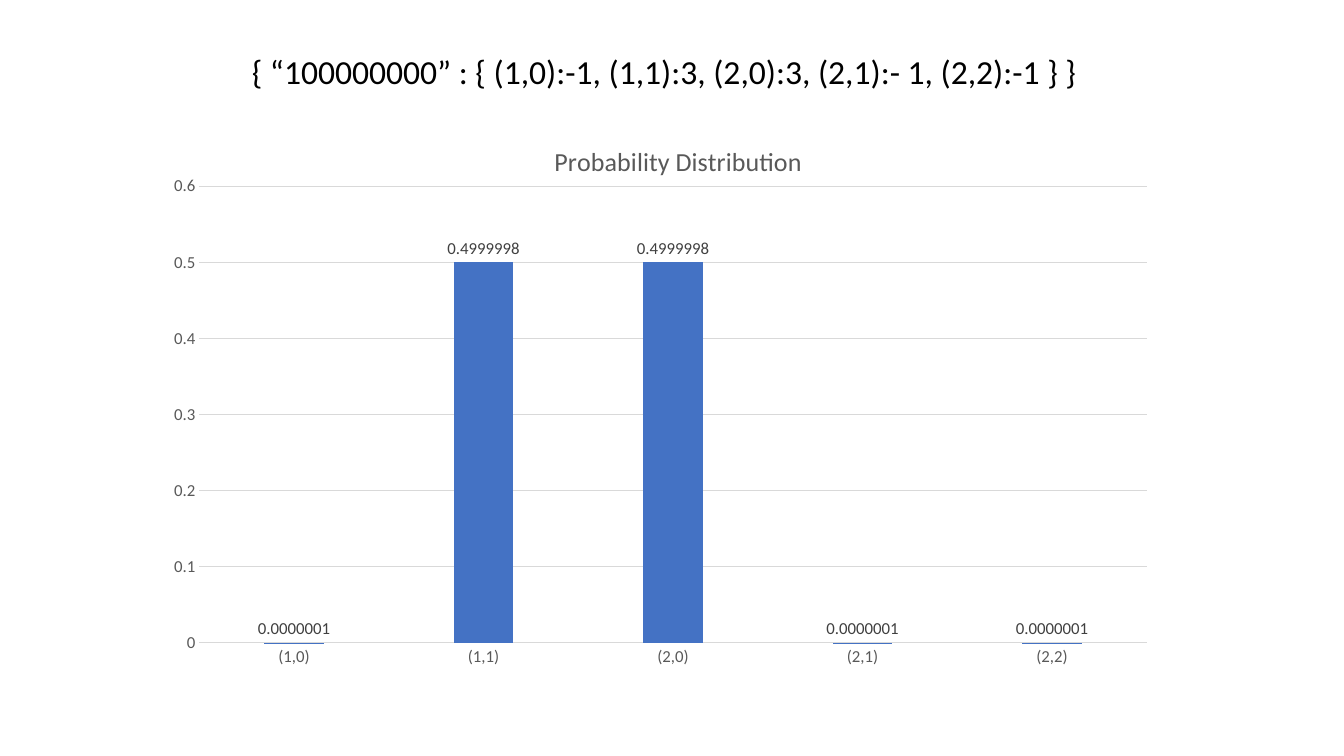
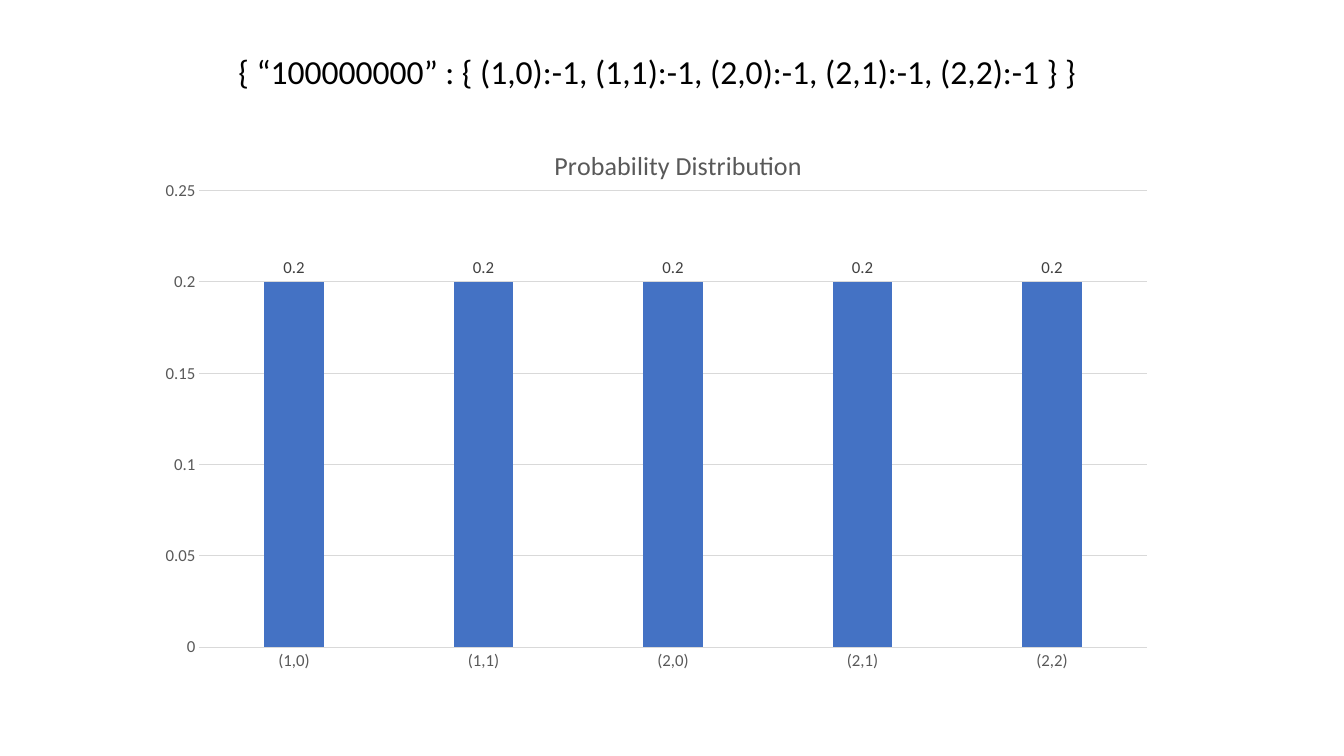
import pptx
import pptx.util
import pptx.chart.data
import pptx.dml.color
import pptx.enum.chart
import pptx.oxml

Pt = pptx.util.Pt
enum = pptx.enum.chart

FONT = "Calibri"
HEX = {"ink": "000000", "title": "595959", "axis": "595959",
       "label": "404040", "grid": "D9D9D9", "bar": "4472C4"}
CATS = ["(1,0)", "(1,1)", "(2,0)", "(2,1)", "(2,2)"]
LOW, HIGH = 0.0000001, 0.4999998

deck = pptx.Presentation()
deck.slide_width = pptx.util.Inches(13.33)
deck.slide_height = pptx.util.Inches(7.5)


def style(font, size, name):
    font.name = FONT
    font.size = Pt(size)
    font.bold = False
    font.color.rgb = pptx.dml.color.RGBColor.from_string(HEX[name])


def place(x, y, w, h):
    """Turn percentages of the slide into lengths."""
    wide, high = deck.slide_width, deck.slide_height
    return [int(part * full / 100)
            for part, full in ((x, wide), (y, high), (w, wide), (h, high))]


# Heading, heading margin, chart top, values, label format, axis top, axis step
PAGES = [
    ("{ “100000000” : { (1,0):-1, (1,1):3, (2,0):3, (2,1):- 1, (2,2):-1 } }",
     18, 15, [LOW, HIGH, HIGH, LOW, LOW], "0.0000000", 0.6, 0.1),
    ("{ “100000000” : { (1,0):-1, (1,1):-1, (2,0):-1, (2,1):-1, (2,2):-1 } }",
     17, 15.6, [0.2] * len(CATS), "General", 0.25, 0.05),
]

LAYOUT = ('<c:layout xmlns:c="http://schemas.openxmlformats.org/drawingml/2006/chart">'
          '<c:manualLayout>%s</c:manualLayout></c:layout>')
TITLE = {"xMode": "edge", "yMode": "edge", "x": 0.38, "y": 0.04}
PLOT = {"layoutTarget": "inner", "xMode": "edge", "yMode": "edge",
        "x": 0.036, "y": 0.118, "w": 0.93, "h": 0.74}

for head, left, top, vals, form, peak, step in PAGES:
    slide = deck.slides.add_slide(deck.slide_layouts[6])

    # Heading
    box = slide.shapes.add_textbox(*place(left, 6.1, 100 - 2 * left, 6.7))
    box.text_frame.word_wrap = True
    run = box.text_frame.paragraphs[0].add_run()
    run.text = head
    style(run.font, 24, "ink")

    # Chart
    data = pptx.chart.data.CategoryChartData()
    data.categories = CATS
    data.add_series("Series 1", vals)
    chart = slide.shapes.add_chart(enum.XL_CHART_TYPE.COLUMN_CLUSTERED,
                                   *place(12.1, top, 75.8, 81.6), data).chart
    style(chart.font, 10, "ink")
    chart.has_legend = False

    # Chart title
    run = chart.chart_title.text_frame.paragraphs[0].add_run()
    run.text = "Probability Distribution"
    style(run.font, 18.6, "title")
    chart.chart_title.include_in_layout = False

    # Fixed spots for the title and the plot area
    area = chart.plots[0]._element.getparent()
    for node, spot in ((chart.chart_title._element, TITLE), (area, PLOT)):
        for old in node.findall("{*}layout"):
            node.remove(old)
        tags = "".join('<c:%s val="%s"/>' % pair for pair in spot.items())
        index = 1 if spot is TITLE else 0
        node.insert(index, pptx.oxml.parse_xml(LAYOUT % tags))

    # Axes
    for axis in (chart.category_axis, chart.value_axis):
        axis.major_tick_mark = enum.XL_TICK_MARK.NONE
        axis.minor_tick_mark = enum.XL_TICK_MARK.NONE
        style(axis.tick_labels.font, 12, "axis")
    axis.minimum_scale = 0
    axis.maximum_scale = peak
    axis.major_unit = step
    axis.tick_labels.number_format = "General"
    axis.tick_labels.number_format_is_linked = False
    axis.format.line.fill.background()
    for line in (chart.category_axis.format.line,
                 axis.major_gridlines.format.line):
        line.width = Pt(0.75)
        line.color.rgb = pptx.dml.color.RGBColor.from_string(HEX["grid"])

    # Bars and their labels
    plot = chart.plots[0]
    plot.gap_width = 219
    plot.overlap = -27
    plot.vary_by_categories = False
    bars = plot.series[0]
    bars.format.fill.solid()
    bars.format.fill.fore_color.rgb = pptx.dml.color.RGBColor.from_string(HEX["bar"])
    tags = bars.data_labels
    tags.show_value = True
    tags.position = enum.XL_LABEL_POSITION.OUTSIDE_END
    tags.number_format = form
    tags.number_format_is_linked = False
    style(tags.font, 12, "label")

deck.save("out.pptx")
